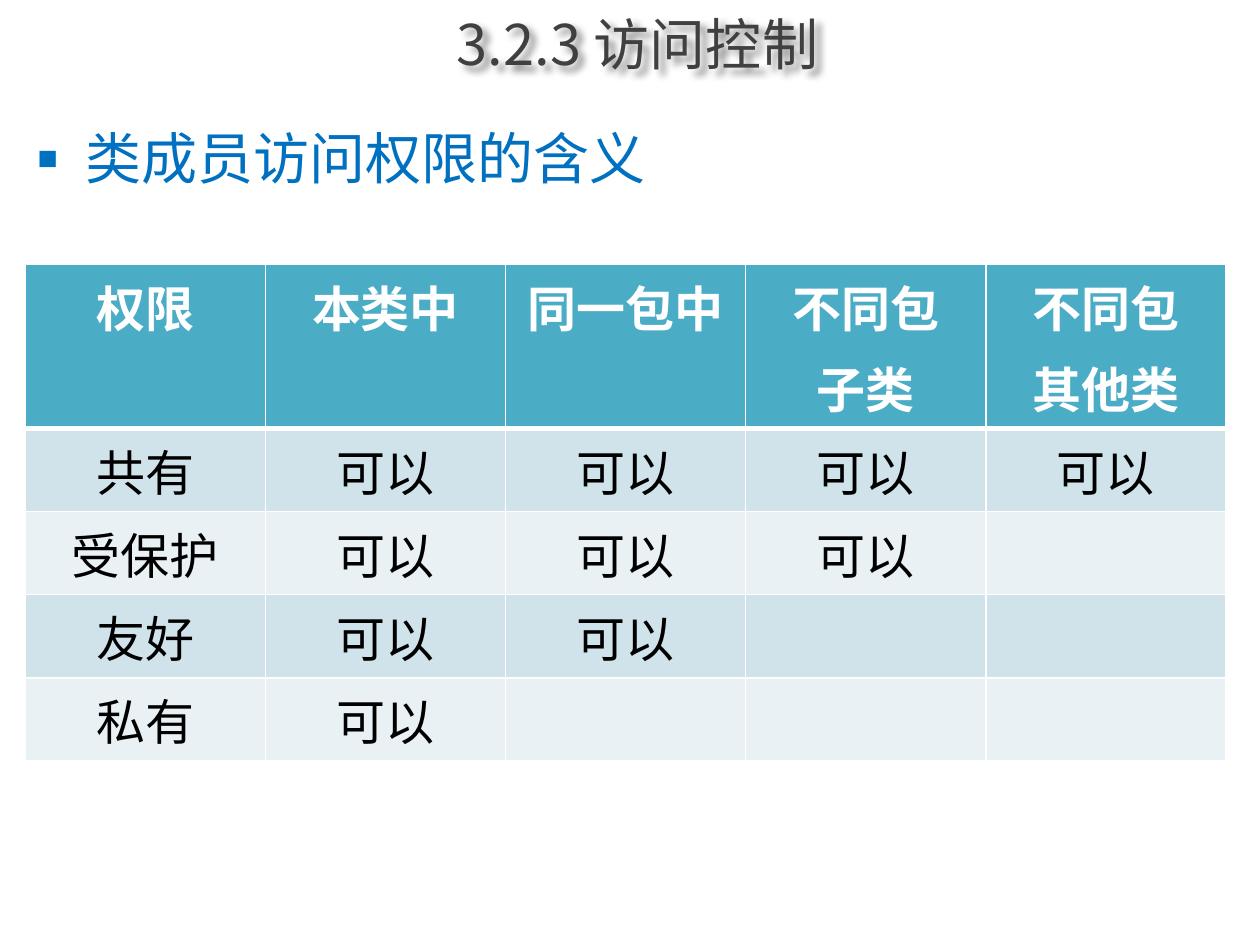
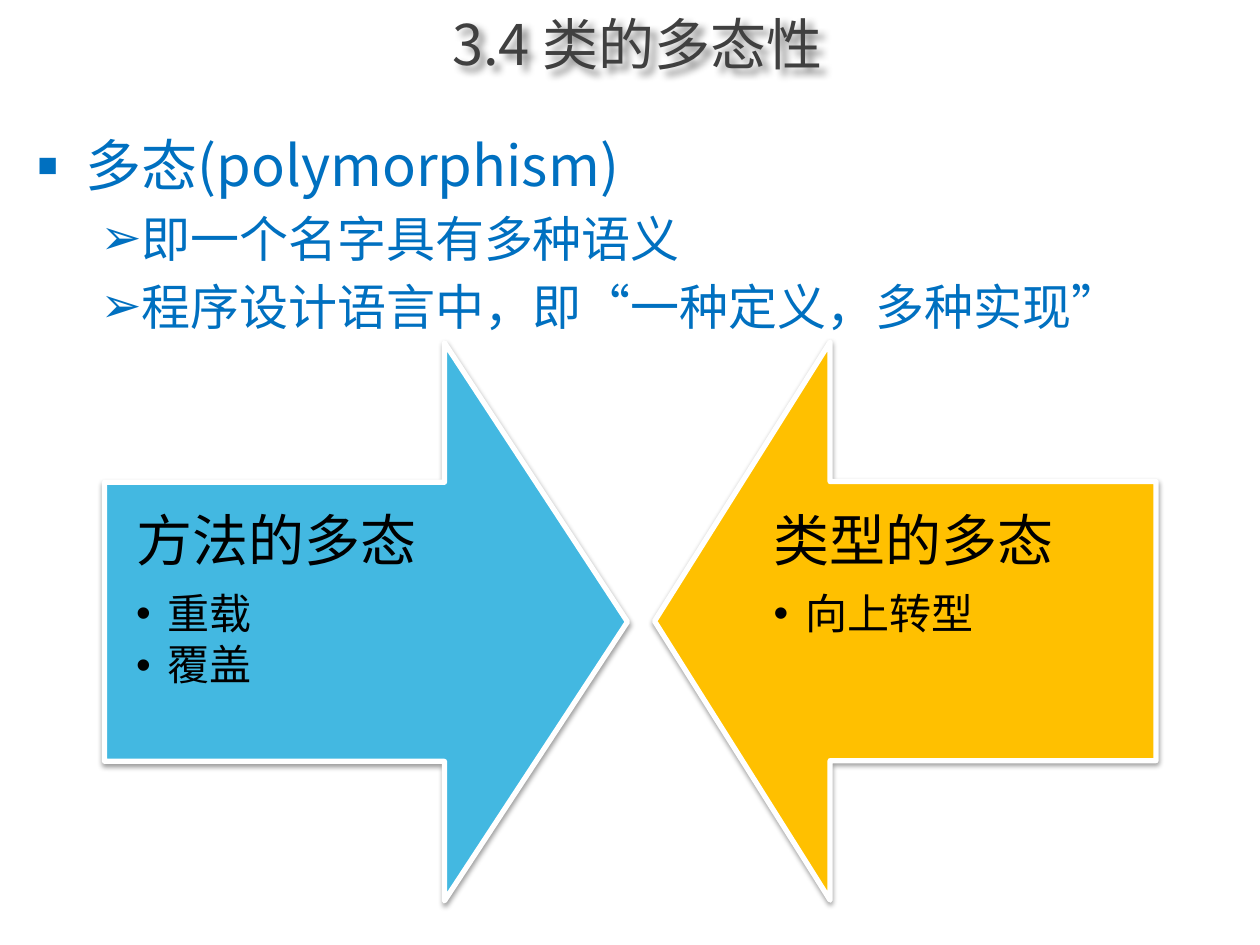
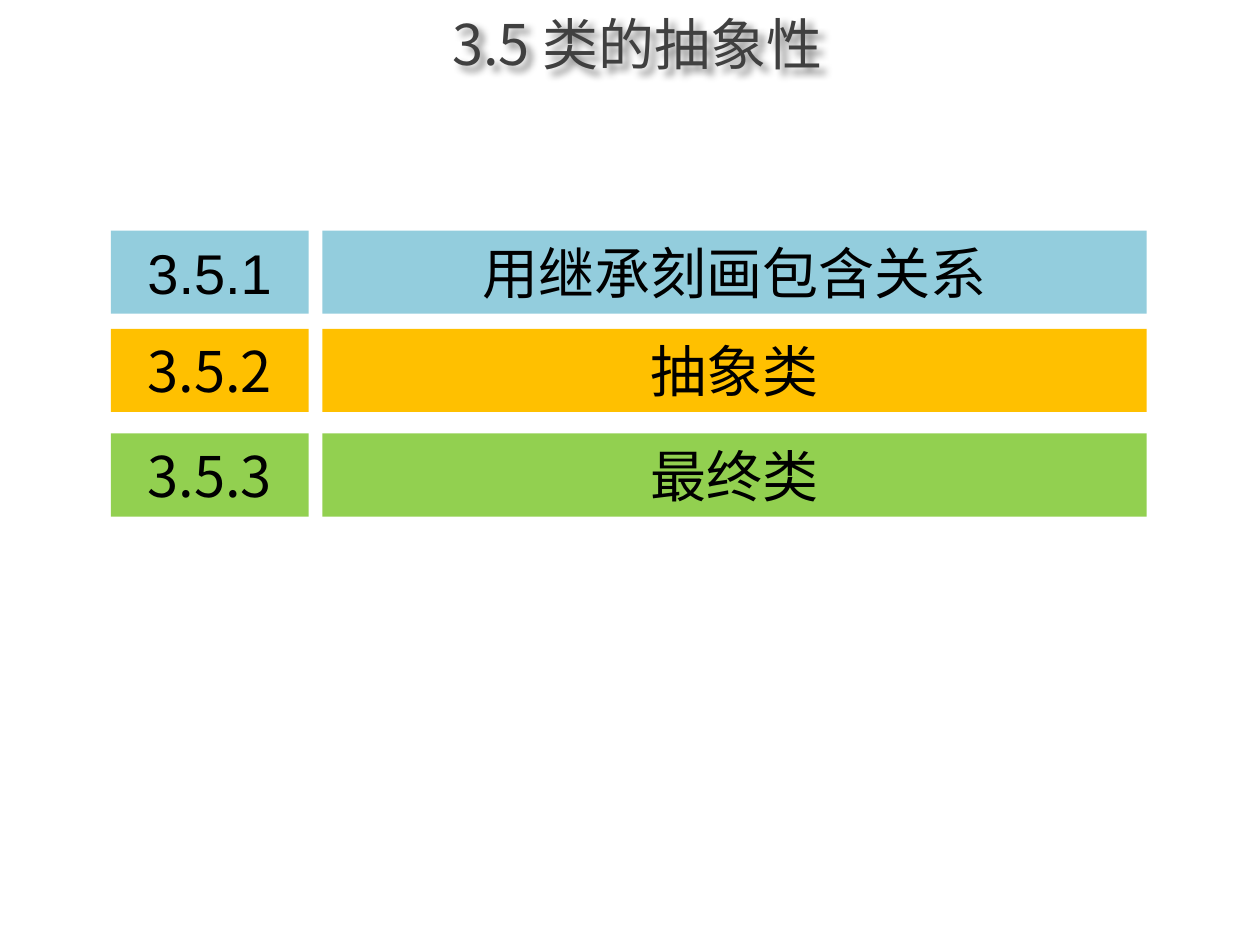
from dataclasses import dataclass

from lxml import etree
from pptx import Presentation
from pptx.dml.color import RGBColor
from pptx.enum.shapes import MSO_SHAPE
from pptx.enum.text import MSO_ANCHOR, PP_ALIGN
from pptx.oxml.ns import qn
from pptx.util import Inches, Pt

CENTER, LEFT = PP_ALIGN.CENTER, PP_ALIGN.LEFT
MIDDLE, TOP = MSO_ANCHOR.MIDDLE, MSO_ANCHOR.TOP
RECT, DOWN_ARROW = MSO_SHAPE.RECTANGLE, MSO_SHAPE.DOWN_ARROW


@dataclass(frozen=True)
class Theme:
    cjk: str = "Noto Sans CJK SC"
    karla: str = "Karla"
    arial: str = "Arial"
    title: str = "404040"
    body: str = "0070C0"
    black: str = "000000"
    white: str = "FFFFFF"
    header: str = "4BACC6"
    bands: tuple = ("D0E3EA", "E9F1F5")
    sky: str = "43B8E1"
    pale_blue: str = "93CDDD"
    amber: str = "FFC000"
    green: str = "92D050"
    large: int = 32
    medium: int = 28
    small: int = 24


T = Theme()


# Text
def add_run(p, text, size, color, font=T.cjk, bold=False):
    r = p.add_run()
    r.text = text
    r.font.size = Pt(size)
    r.font.bold = bold
    r.font.name = font
    r.font.color.rgb = RGBColor.from_string(color)
    etree.SubElement(r.font._element, qn("a:ea"), typeface=T.cjk)


def next_paragraph(tf):
    first = tf.paragraphs[0]
    return tf.add_paragraph() if first.runs else first


def add_line(tf, text, size, color, font=T.cjk, bold=False, align=LEFT,
             spacing=1.0, before=0.0, after=0.0):
    """Add a paragraph; before and after are shares of the type size."""
    p = next_paragraph(tf)
    p.alignment = align
    p.line_spacing = spacing
    p.space_before = Pt(size * before)
    p.space_after = Pt(size * after)
    add_run(p, text, size, color, font, bold)
    return p


def set_bullet(p, char, left, hanging, percent=100):
    pPr = p._p.get_or_add_pPr()
    pPr.set("marL", str(Inches(left)))
    pPr.set("indent", str(-Inches(hanging)))
    etree.SubElement(pPr, qn("a:buSzPct"), val=str(percent * 1000))
    etree.SubElement(pPr, qn("a:buFont"), typeface=T.arial)
    etree.SubElement(pPr, qn("a:buChar"), char=char)


def add_text_box(slide, left, top, width, height, anchor=TOP, inset=None):
    sp = slide.shapes.add_textbox(Inches(left), Inches(top), Inches(width), Inches(height))
    tf = sp.text_frame
    tf.word_wrap = True
    tf.vertical_anchor = anchor
    if inset is not None:
        tf.margin_left = tf.margin_right = Inches(inset)
        tf.margin_top = tf.margin_bottom = Inches(inset)
    return sp


# Shapes
def add_shadow(sp, blur, distance, angle, alpha):
    sp.shadow.inherit = False
    effects = sp._element.spPr.find(qn("a:effectLst"))
    outer = etree.SubElement(effects, qn("a:outerShdw"), blurRad=str(Pt(blur)),
                             dist=str(Pt(distance)), dir=str(angle * 60000),
                             algn="tl", rotWithShape="0")
    color = etree.SubElement(outer, qn("a:srgbClr"), val=T.black)
    etree.SubElement(color, qn("a:alpha"), val=str(alpha * 1000))


def add_filled(slide, kind, left, top, width, height, fill):
    sp = slide.shapes.add_shape(kind, Inches(left), Inches(top), Inches(width), Inches(height))
    sp.shadow.inherit = False
    sp.fill.solid()
    sp.fill.fore_color.rgb = RGBColor.from_string(fill)
    sp.line.fill.background()
    return sp


def add_label(slide, left, top, width, height, fill, text, font=T.cjk):
    sp = add_filled(slide, RECT, left, top, width, height, fill)
    sp.text_frame.vertical_anchor = MIDDLE
    add_line(sp.text_frame, text, T.large, T.black, font, align=CENTER)


def add_arrow(slide, left, top, width, height, rotation, fill):
    sp = add_filled(slide, DOWN_ARROW, left, top, width, height, fill)
    sp.rotation = rotation
    sp.adjustments[0] = 0.5
    sp.adjustments[1] = 0.35
    sp.line.color.rgb = RGBColor.from_string(T.white)
    sp.line.width = Pt(3)
    add_shadow(sp, 3.1, 1.6, 90, 38)


def add_arrow_text(slide, left, width, heading, items):
    tf = add_text_box(slide, left, 3.82, width, 2.21, inset=0.25).text_frame
    add_line(tf, heading, T.large, T.black, spacing=0.9, after=0.35)
    for item in items:
        p = add_line(tf, item, T.small, T.black, spacing=0.9, after=0.15)
        set_bullet(p, "•", 0.25, 0.25)


# Table
def set_borders(cell, top, bottom):
    tcPr = cell._tc.get_or_add_tcPr()
    for side, width in (("L", 1), ("R", 1), ("T", top), ("B", bottom)):
        ln = etree.SubElement(tcPr, qn("a:ln" + side), w=str(Pt(width)))
        fill = etree.SubElement(ln, qn("a:solidFill"))
        etree.SubElement(fill, qn("a:srgbClr"), val=T.white)


def add_banded_table(slide, rows, left, top, width, header_height, row_height):
    columns = len(rows[0])
    height = header_height + row_height * (len(rows) - 1)
    table = slide.shapes.add_table(len(rows), columns, Inches(left), Inches(top),
                                   Inches(width), Inches(height)).table
    for column in table.columns:
        column.width = Inches(width / columns)
    for i, row in enumerate(rows):
        is_header = i == 0
        table.rows[i].height = Inches(header_height if is_header else row_height)
        fill = T.header if is_header else T.bands[(i - 1) % 2]
        color = T.white if is_header else T.black
        for j, text in enumerate(row):
            cell = table.cell(i, j)
            set_borders(cell, 3 if i == 1 else 1, 3 if is_header else 1)
            cell.fill.solid()
            cell.fill.fore_color.rgb = RGBColor.from_string(fill)
            for line in text.splitlines():
                add_line(cell.text_frame, line, T.medium, color, bold=is_header,
                         align=CENTER, before=0.2)


# Shared slide parts
def add_titled_slide(prs, title):
    slide = prs.slides.add_slide(prs.slide_layouts[6])
    sp = add_text_box(slide, 0.72, 0, 8.68, 0.68, MIDDLE)
    add_line(sp.text_frame, title, T.large, T.title, align=CENTER)
    add_shadow(sp, 4, 4, 45, 45)
    return slide


def add_body(slide, heading, points=(), font=T.cjk, spacing=1.0):
    tf = add_text_box(slide, 0.2, 0.99, 9.61, 6.38).text_frame
    p = add_line(tf, heading, T.large, T.body, font, spacing=spacing, before=0.2)
    set_bullet(p, "■", 0.38, 0.38, 60)
    for point in points:
        p = add_line(tf, point, T.medium, T.body, before=0.2)
        set_bullet(p, "➢", 0.81, 0.31)


# Slides
def build_access_control(prs):
    slide = add_titled_slide(prs, "3.2.3 访问控制")
    add_body(slide, "类成员访问权限的含义", font=T.karla, spacing=0.9)
    scopes = ["本类中", "同一包中", "不同包\n子类", "不同包\n其他类"]
    rows = [["权限"] + scopes]
    for name, allowed in (("共有", 4), ("受保护", 3), ("友好", 2), ("私有", 1)):
        rows.append([name] + ["可以"] * allowed + [""] * (len(scopes) - allowed))
    add_banded_table(slide, rows, 0.2, 2.1, 9.53, 1.3, 0.66)


def build_polymorphism(prs):
    slide = add_titled_slide(prs, "3.4 类的多态性")
    add_body(slide, "多态(polymorphism)",
             ["即一个名字具有多种语义", "程序设计语言中，即“一种定义，多种实现”"])
    add_arrow(slide, 0.69, 2.86, 4.43, 4.15, 270, T.sky)
    add_arrow_text(slide, 0.83, 3.42, "方法的多态", ["重载", "覆盖"])
    add_arrow(slide, 4.97, 2.94, 4.43, 3.98, 90, T.amber)
    add_arrow_text(slide, 5.89, 3.28, "类型的多态", ["向上转型"])


def build_abstraction(prs):
    slide = add_titled_slide(prs, "3.5 类的抽象性")
    sections = [
        (1.83, T.pale_blue, "3.5.1", T.arial, "用继承刻画包含关系"),
        (2.61, T.amber, "3.5.2", T.cjk, "抽象类"),
        (3.44, T.green, "3.5.3", T.cjk, "最终类"),
    ]
    for top, fill, number, number_font, name in sections:
        add_label(slide, 2.56, top, 6.54, 0.66, fill, name)
        add_label(slide, 0.88, top, 1.57, 0.66, fill, number, number_font)


def main():
    prs = Presentation()
    prs.slide_width, prs.slide_height = Inches(10), Inches(7.5)
    build_access_control(prs)
    build_polymorphism(prs)
    build_abstraction(prs)
    prs.save("out.pptx")


if __name__ == "__main__":
    main()
